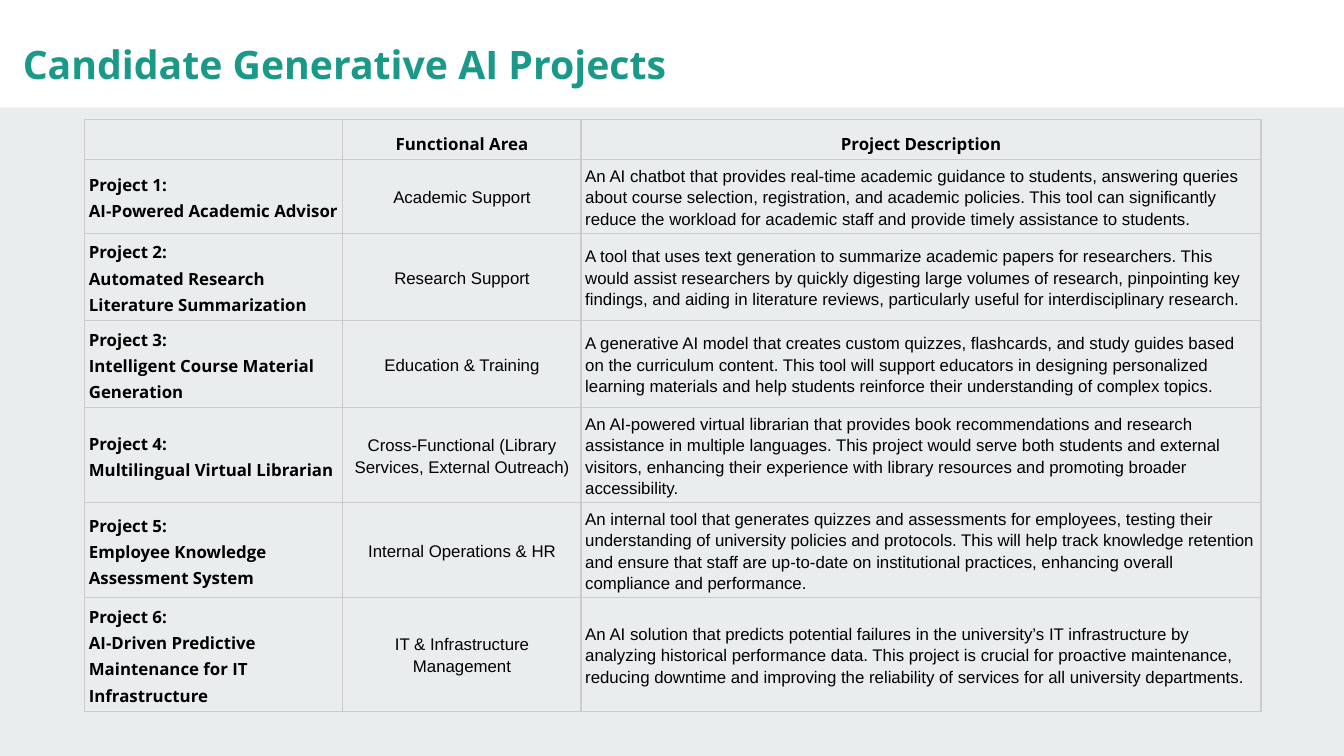
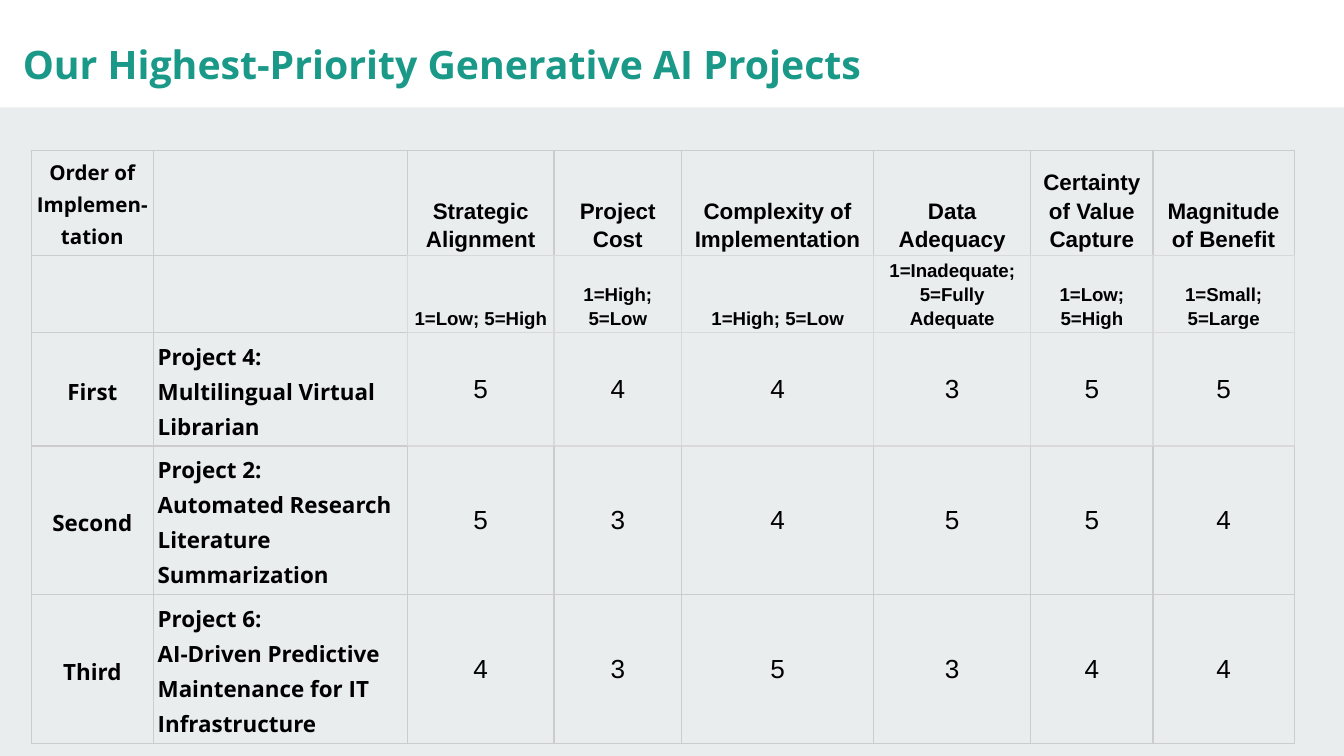
from dataclasses import dataclass
from typing import Callable

from lxml.etree import SubElement
from pptx import Presentation
from pptx.dml.color import RGBColor
from pptx.enum.shapes import MSO_SHAPE as Preset
from pptx.enum.text import MSO_ANCHOR as Anchor, MSO_AUTO_SIZE as AutoSize, PP_ALIGN as Align
from pptx.oxml.ns import qn
from pptx.util import Cm, Pt

# Shared look
TEAL = RGBColor(0x1A, 0x99, 0x88)
BLACK = RGBColor(0, 0, 0)
WHITE = RGBColor(0xFF, 0xFF, 0xFF)
MIST = RGBColor(0xE9, 0xED, 0xEE)
RULE = RGBColor(0xCC, 0xCC, 0xCC)
PALE_RULE = RGBColor(0xD9, 0xD9, 0xD9)
HEADING_FONT, BODY_FONT = "Open Sans", "Arial"
LINE_SPACING = 1.15
TITLE_ONLY = 5
EDGES = {"a:lnL": (0, -1), "a:lnR": (0, 1), "a:lnT": (-1, 0), "a:lnB": (1, 0)}


@dataclass(frozen=True)
class CellStyle:
    font: str
    size: float
    bold: bool = True
    align: Align = Align.CENTER
    anchor: Anchor = Anchor.MIDDLE
    spacing: float | None = LINE_SPACING
    margin_y: float = 0.08


@dataclass(frozen=True)
class Grid:
    left: float
    top: float
    columns: list[float]
    row_heights: list[float]
    rows: list[tuple[str, ...]]
    style_at: Callable[[int, int], CellStyle]
    is_pale: Callable[[int, int], bool] = lambda row, column: False


# Cell styles
AREA_HEADER = CellStyle(HEADING_FONT, 9, anchor=Anchor.BOTTOM)
PROJECT = CellStyle(HEADING_FONT, 9, align=Align.LEFT)
AREA = CellStyle(BODY_FONT, 9, bold=False)
DESCRIPTION = CellStyle(BODY_FONT, 9, bold=False, align=Align.LEFT)

ORDER_HEADER = CellStyle(HEADING_FONT, 11, anchor=Anchor.BOTTOM)
CRITERION = CellStyle(BODY_FONT, 12, anchor=Anchor.BOTTOM, margin_y=0.05)
SCALE = CellStyle(BODY_FONT, 10, anchor=Anchor.BOTTOM, margin_y=0.05)
ORDER = CellStyle(HEADING_FONT, 12)
RANKED_PROJECT = CellStyle(HEADING_FONT, 12, align=Align.LEFT)
SCORE = CellStyle(BODY_FONT, 14, bold=False, spacing=None)


def candidate_style(row: int, column: int) -> CellStyle:
    return AREA_HEADER if row == 0 else (PROJECT, AREA, DESCRIPTION)[column]


def priority_style(row: int, column: int) -> CellStyle:
    if column < 2:
        return ORDER_HEADER if row < 2 else (ORDER, RANKED_PROJECT)[column]
    return (CRITERION, SCALE)[row] if row < 2 else SCORE


def is_pale_score(row: int, column: int) -> bool:
    return row in (1, 2) and 2 <= column < 8


# Content
ADVISOR = "Project 1:\nAI-Powered Academic Advisor"
SUMMARIZATION = "Project 2:\nAutomated Research Literature Summarization"
COURSE_MATERIAL = "Project 3:\nIntelligent Course Material Generation"
LIBRARIAN = "Project 4:\nMultilingual Virtual Librarian"
ASSESSMENT = "Project 5:\nEmployee Knowledge Assessment System"
MAINTENANCE = "Project 6:\nAI-Driven Predictive Maintenance for IT Infrastructure"

CANDIDATES = Grid(
    left=1.6, top=2.26,
    columns=[4.88, 4.5, 12.85],
    row_heights=[0.76] + [1.12] * 6,
    rows=[
        ("", "Functional Area", "Project Description"),
        (ADVISOR, "Academic Support",
         "An AI chatbot that provides real-time academic guidance to students, answering "
         "queries about course selection, registration, and academic policies. This tool can "
         "significantly reduce the workload for academic staff and provide timely assistance "
         "to students."),
        (SUMMARIZATION, "Research Support",
         "A tool that uses text generation to summarize academic papers for researchers. This "
         "would assist researchers by quickly digesting large volumes of research, pinpointing "
         "key findings, and aiding in literature reviews, particularly useful for "
         "interdisciplinary research."),
        (COURSE_MATERIAL, "Education & Training",
         "A generative AI model that creates custom quizzes, flashcards, and study guides based "
         "on the curriculum content. This tool will support educators in designing personalized "
         "learning materials and help students reinforce their understanding of complex topics."),
        (LIBRARIAN, "Cross-Functional (Library Services, External Outreach)",
         "An AI-powered virtual librarian that provides book recommendations and research "
         "assistance in multiple languages. This project would serve both students and external "
         "visitors, enhancing their experience with library resources and promoting broader "
         "accessibility."),
        (ASSESSMENT, "Internal Operations & HR",
         "An internal tool that generates quizzes and assessments for employees, testing their "
         "understanding of university policies and protocols. This will help track knowledge "
         "retention and ensure that staff are up-to-date on institutional practices, enhancing "
         "overall compliance and performance."),
        (MAINTENANCE, "IT & Infrastructure Management",
         "An AI solution that predicts potential failures in the university’s IT infrastructure "
         "by analyzing historical performance data. This project is crucial for proactive "
         "maintenance, reducing downtime and improving the reliability of services for all "
         "university departments."),
    ],
    style_at=candidate_style,
)

PRIORITIES = Grid(
    left=0.59, top=2.84,
    columns=[2.31, 4.8, 2.77, 2.41, 3.63, 2.97, 2.31, 2.67],
    row_heights=[0.86] + [1.12] * 4,
    rows=[
        ("Order of Implemen-tation", "", "Strategic Alignment", "Project Cost",
         "Complexity of Implementation", "Data Adequacy", "Certainty of Value Capture",
         "Magnitude of Benefit"),
        ("", "", "1=Low; 5=High", "1=High; 5=Low", "1=High; 5=Low",
         "1=Inadequate; 5=Fully Adequate", "1=Low; 5=High", "1=Small; 5=Large"),
        ("First", LIBRARIAN, *"544355"),
        ("Second", SUMMARIZATION, *"534554"),
        ("Third", MAINTENANCE, *"435344"),
    ],
    style_at=priority_style,
    is_pale=is_pale_score,
)


def style_span(span, font: str, size: float, bold: bool, color: RGBColor) -> None:
    span.font.name, span.font.size, span.font.bold = font, Pt(size), bold
    span.font.color.rgb = color


def draw_borders(cell, grid: Grid, row: int, column: int) -> None:
    """Rule each edge; an edge touching a pale cell is pale."""
    properties = cell._tc.get_or_add_tcPr()
    for tag, (down, right) in EDGES.items():
        pale = grid.is_pale(row, column) or grid.is_pale(row + down, column + right)
        line = SubElement(properties, qn(tag), w=str(Pt(0.75)))
        fill = SubElement(line, qn("a:solidFill"))
        SubElement(fill, qn("a:srgbClr"), val=str(PALE_RULE if pale else RULE))


def fill_cell(cell, text: str, style: CellStyle) -> None:
    cell.margin_left = cell.margin_right = Cm(0.08)
    cell.margin_top = cell.margin_bottom = Cm(style.margin_y)
    cell.vertical_anchor = style.anchor
    cell.text_frame.text = text
    for para in cell.text_frame.paragraphs:
        para.alignment = style.align
        para.line_spacing = style.spacing
        for span in para.runs:
            style_span(span, style.font, style.size, style.bold, BLACK)
        if not text:  # keeps an empty cell from stretching its row
            SubElement(para._p, qn("a:endParaRPr"), sz=str(int(style.size * 100)))


def add_grid(page, grid: Grid) -> None:
    frame = page.shapes.add_table(
        len(grid.rows), len(grid.columns), Cm(grid.left), Cm(grid.top),
        Cm(sum(grid.columns)), Cm(sum(grid.row_heights)))
    table = frame.table
    table.first_row = table.horz_banding = False
    for column, width in zip(table.columns, grid.columns):
        column.width = Cm(width)
    for row, height in zip(table.rows, grid.row_heights):
        row.height = Cm(height)
    for row, texts in enumerate(grid.rows):
        for column, text in enumerate(texts):
            cell = table.cell(row, column)
            fill_cell(cell, text, grid.style_at(row, column))
            draw_borders(cell, grid, row, column)
            cell.fill.background()


def set_title(page, text: str) -> None:
    title = page.shapes.title
    title.left, title.top, title.width, title.height = Cm(0.18), Cm(0.38), Cm(21.44), Cm(0.94)
    frame = title.text_frame
    frame.text = text
    frame.word_wrap = True
    frame.auto_size = AutoSize.NONE
    frame.vertical_anchor = Anchor.TOP
    frame.margin_left = frame.margin_right = frame.margin_top = frame.margin_bottom = Cm(0.25)
    para = frame.paragraphs[0]
    para.alignment = Align.LEFT
    para.line_spacing = LINE_SPACING
    style_span(para.runs[0], HEADING_FONT, 21, True, TEAL)


def add_title_band(deck, page) -> None:
    """Place the white band on the layout that all pages share."""
    band = page.shapes.add_shape(Preset.RECTANGLE, 0, 0, deck.slide_width, Cm(2.03))
    band.shadow.inherit = False
    band.fill.solid()
    band.fill.fore_color.rgb = WHITE
    band.line.fill.background()
    page.slide_layout.shapes.element.insert(2, band.element)


def main() -> None:
    deck = Presentation()
    deck.slide_width, deck.slide_height = Cm(25.4), Cm(14.29)
    background = deck.slide_master.background.fill
    background.solid()
    background.fore_color.rgb = MIST

    pages = {
        "Candidate Generative AI Projects": CANDIDATES,
        "Our Highest-Priority Generative AI Projects": PRIORITIES,
    }
    for title, grid in pages.items():
        page = deck.slides.add_slide(deck.slide_layouts[TITLE_ONLY])
        set_title(page, title)
        add_grid(page, grid)
    add_title_band(deck, deck.slides[0])
    deck.save("out.pptx")


if __name__ == "__main__":
    main()
